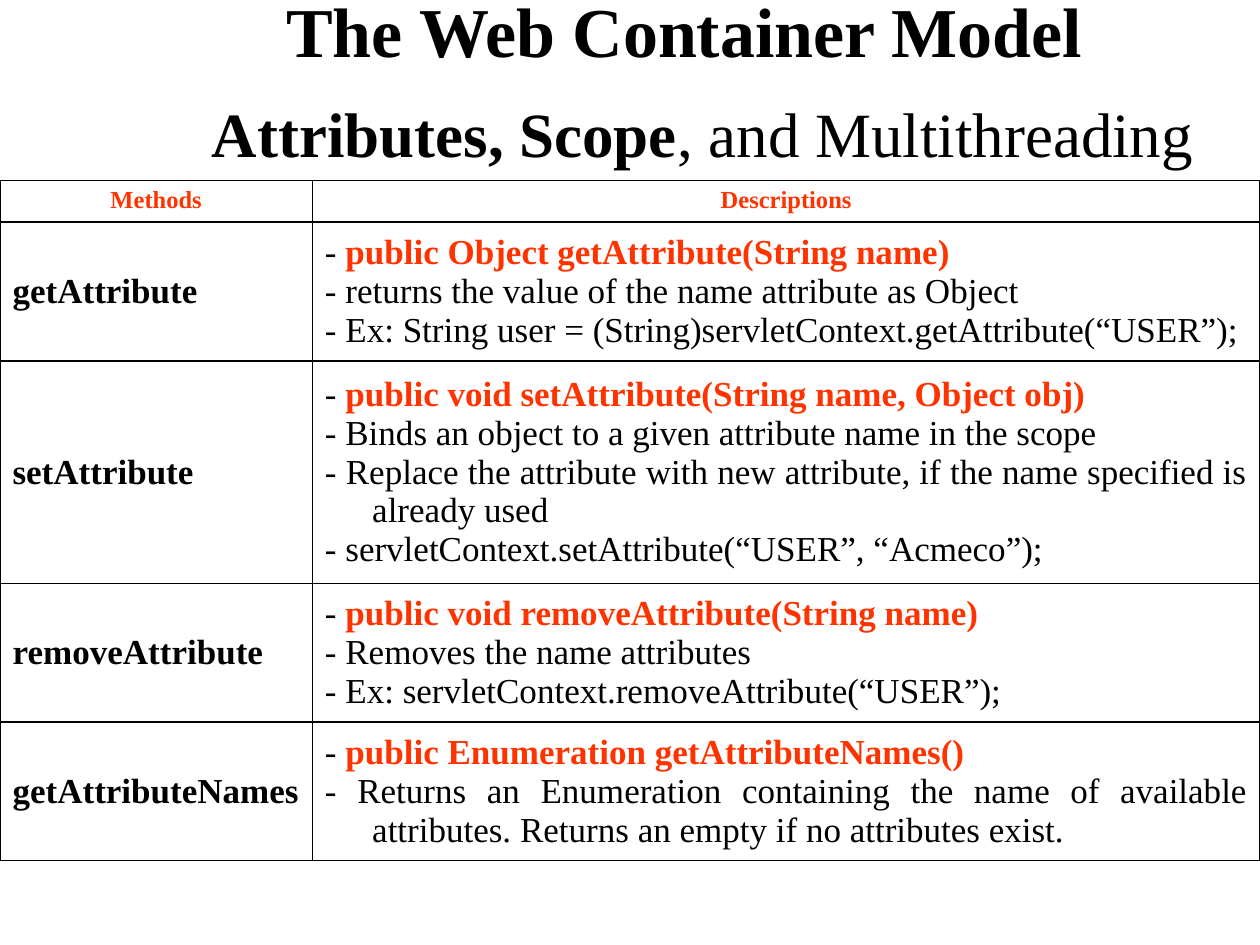
from lxml.etree import SubElement
from pptx import Presentation
from pptx.dml.color import RGBColor
from pptx.enum.text import MSO_ANCHOR as Anchor, MSO_AUTO_SIZE as AutoSize, PP_ALIGN as Align
from pptx.oxml.ns import qn
from pptx.util import Pt

BLACK = RGBColor(0x00, 0x00, 0x00)
RED = RGBColor(0xFF, 0x33, 0x00)
FONT = "Times New Roman"

# Content: title runs as (text, size, bold); "\v" breaks the line
TITLE = [
    ("The Web Container Model \v", 40, True),
    (" ", 44, True),
    ("Attributes, Scope", 36, True),
    (", and Multithreading", 36, False),
]
HEADINGS = ["Methods", "Descriptions"]
# Method, signature, explanations
METHODS = [
    ("getAttribute", "public Object getAttribute(String name)", [
        "returns the value of the name attribute as Object",
        "Ex: String user = (String)servletContext.getAttribute(“USER”);",
    ]),
    ("setAttribute", "public void setAttribute(String name, Object obj)", [
        "Binds an object to a given attribute name in the scope",
        "Replace the attribute with new attribute, if the name specified is already used",
        "servletContext.setAttribute(“USER”, “Acmeco”);",
    ]),
    ("removeAttribute", "public void removeAttribute(String name)", [
        "Removes the name attributes",
        "Ex: servletContext.removeAttribute(“USER”);",
    ]),
    ("getAttributeNames", "public Enumeration getAttributeNames()", [
        "Returns an Enumeration containing the name of available attributes. "
        "Returns an empty if no attributes exist.",
    ]),
]

# Layout
SLIDE_WIDTH, SLIDE_HEIGHT = 720, 540
TITLE_BOX = {"left": 72, "top": 0, "width": 648, "height": 87}
TABLE_TOP = 103
COLUMN_WIDTHS = [178.5, 541.5]
ROW_HEIGHTS = [24, 79.2, 127.2, 79.2, 79.2]
HANGING_INDENT = 27


def add_run(paragraph, text, size, bold, color=BLACK):
    run = paragraph.add_run()
    run.text = text
    formats = {"name": FONT, "size": Pt(size), "bold": bold}
    for key, value in formats.items():
        setattr(run.font, key, value)
    run.font.color.rgb = color


def fill_cell(cell, lines, align, anchor=Anchor.MIDDLE):
    """Write lines, each a list of run arguments, into a bordered cell."""
    cell.vertical_anchor = anchor
    properties = cell._tc.get_or_add_tcPr()
    for side in ("a:lnL", "a:lnR", "a:lnT", "a:lnB"):
        border = SubElement(properties, qn(side), w=str(Pt(1)))
        SubElement(SubElement(border, qn("a:solidFill")), qn("a:srgbClr"), val=str(BLACK))
    cell.fill.background()
    for index, line in enumerate(lines):
        paragraph = cell.text_frame.add_paragraph() if index else cell.text_frame.paragraphs[0]
        paragraph.alignment = align
        indents = paragraph._p.get_or_add_pPr()
        indents.set("marL", str(Pt(HANGING_INDENT)))
        indents.set("indent", str(Pt(-HANGING_INDENT)))
        for run in line:
            add_run(paragraph, *run)


def add_title(slide):
    title = slide.shapes.title
    for key, value in TITLE_BOX.items():
        setattr(title, key, Pt(value))
    formats = {"word_wrap": True, "auto_size": AutoSize.NONE, "vertical_anchor": Anchor.MIDDLE}
    for key, value in formats.items():
        setattr(title.text_frame, key, value)
    paragraph = title.text_frame.paragraphs[0]
    paragraph.alignment = Align.CENTER
    paragraph.line_spacing = 1.1
    for text, size, bold in TITLE:
        add_run(paragraph, text.rstrip("\v"), size, bold)
        if text.endswith("\v"):
            paragraph.add_line_break()


def add_methods_table(slide):
    table = slide.shapes.add_table(
        len(ROW_HEIGHTS), len(COLUMN_WIDTHS), Pt(0), Pt(TABLE_TOP),
        Pt(sum(COLUMN_WIDTHS)), Pt(sum(ROW_HEIGHTS))).table
    table.first_row = table.horz_banding = False
    for column, width in zip(table.columns, COLUMN_WIDTHS):
        column.width = Pt(width)
    for row, height in zip(table.rows, ROW_HEIGHTS):
        row.height = Pt(height)

    # Heading row
    for column, heading in enumerate(HEADINGS):
        fill_cell(table.cell(0, column), [[(heading, 14, True, RED)]], Align.CENTER, Anchor.TOP)

    # One row per method
    for row, (method, signature, explanations) in enumerate(METHODS, start=1):
        fill_cell(table.cell(row, 0), [[(method, 20, True)]], Align.LEFT)
        lines = [[("- ", 20, False), (signature, 20, True, RED)]]
        lines += [[("- " + text, 20, False)] for text in explanations]
        fill_cell(table.cell(row, 1), lines, Align.JUSTIFY)


def main():
    deck = Presentation()
    deck.slide_width, deck.slide_height = Pt(SLIDE_WIDTH), Pt(SLIDE_HEIGHT)
    slide = deck.slides.add_slide(deck.slide_layouts[5])
    add_title(slide)
    add_methods_table(slide)
    deck.save("out.pptx")


if __name__ == "__main__":
    main()
